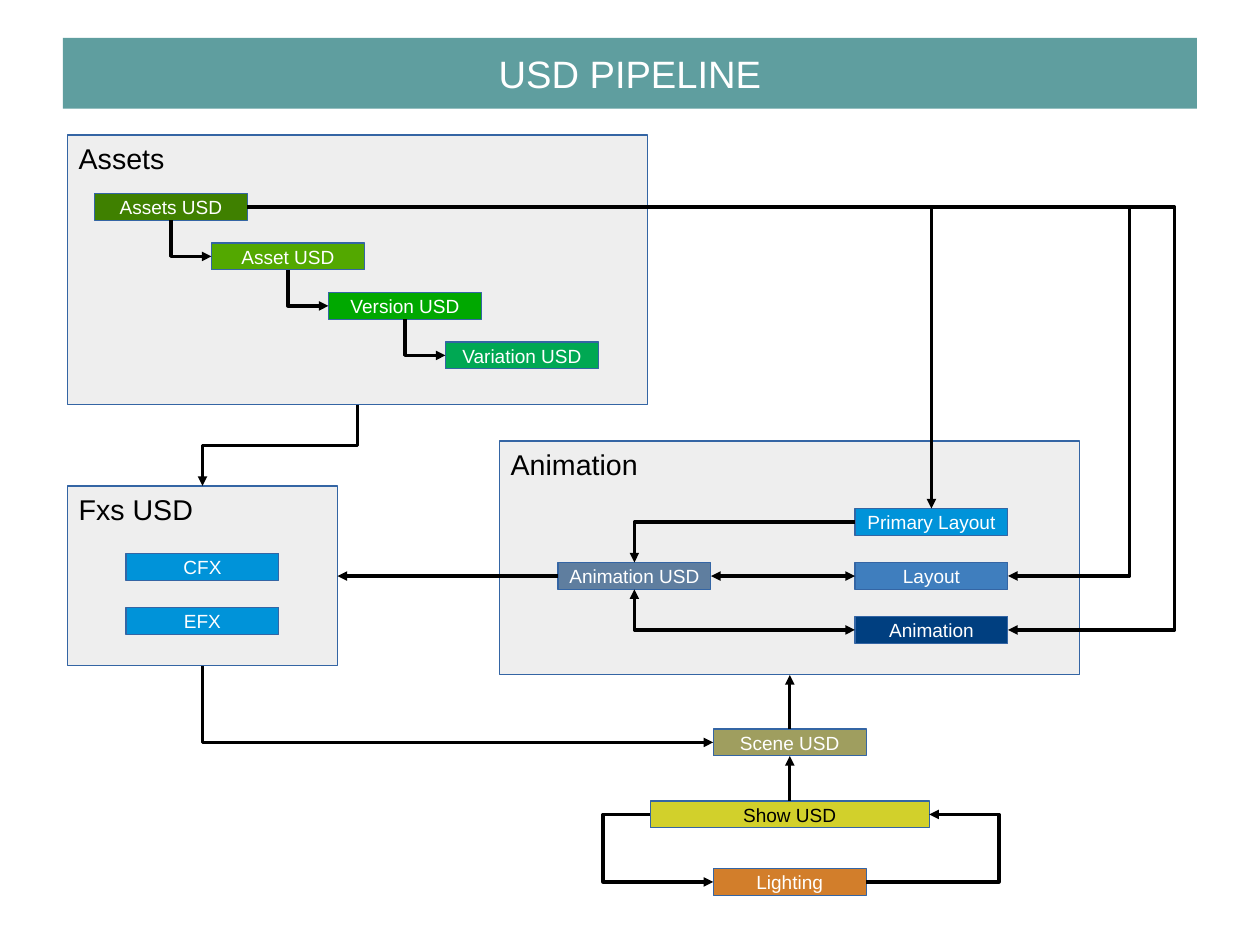
from lxml.etree import SubElement
from pptx import Presentation
from pptx.dml.color import RGBColor
from pptx.enum.shapes import MSO_CONNECTOR, MSO_SHAPE
from pptx.enum.text import MSO_ANCHOR, PP_ALIGN
from pptx.oxml.ns import qn
from pptx.util import Cm, Inches, Pt

WIDTH, HEIGHT = 28, 21
NODE_W, NODE_H = 3.4, 0.6
ROW = 1.2
TOP, LEFT, BOTTOM, RIGHT = range(4)

prs = Presentation()
prs.slide_width, prs.slide_height = Cm(WIDTH), Cm(HEIGHT)
slide = prs.slides.add_slide(prs.slide_layouts[6])


def paint(target, color):
    target.solid()
    target.fore_color.rgb = RGBColor.from_string(color)


def write(shape, text, size=12, color="FFFFFF", align=PP_ALIGN.CENTER,
          anchor=MSO_ANCHOR.MIDDLE, wrap=False, inset=(0.1, 0.05)):
    frame = shape.text_frame
    frame.word_wrap, frame.vertical_anchor = wrap, anchor
    frame.margin_left = frame.margin_right = Inches(inset[0])
    frame.margin_top = frame.margin_bottom = Inches(inset[1])
    paragraph = frame.paragraphs[0]
    paragraph.alignment = align
    run = paragraph.add_run()
    run.text = text
    run.font.name, run.font.size = "Arial", Pt(size)
    paint(run.font.fill, color)


def block(box, fill, border="3465A4"):
    shape = slide.shapes.add_shape(MSO_SHAPE.RECTANGLE, *map(Cm, box))
    shape.shadow.inherit = False
    paint(shape.fill, fill)
    if border:
        paint(shape.line.fill, border)
        shape.line.width = Pt(0)
    else:
        shape.line.fill.background()
    return shape


def node(x, y, text, fill, width=NODE_W, color="FFFFFF"):
    shape = block((x, y, width, NODE_H), fill)
    write(shape, text, color=color)
    return shape


def panel(box, text):
    shape = block(box, "EEEEEE")
    write(shape, text, size=18, color="000000", align=PP_ALIGN.LEFT,
          anchor=MSO_ANCHOR.TOP, wrap=True)
    return shape


def site(shape, side):
    across = {LEFT: 0, RIGHT: 1}.get(side, 0.5)
    down = {TOP: 0, BOTTOM: 1}.get(side, 0.5)
    return (int(shape.left + shape.width * across),
            int(shape.top + shape.height * down))


def arrow(start, start_side, end, end_side, via=None, both=False):
    ends = [(start, start_side), (end, end_side)]
    heads = ["headEnd", "tailEnd"] if both else ["tailEnd"]
    upright = [side in (TOP, BOTTOM) for _, side in ends]
    corner = upright[0] != upright[1]
    if corner and upright[0]:
        ends.reverse()
        heads = ["headEnd", "tailEnd"] if both else ["headEnd"]
    (x1, y1), (x2, y2) = (site(*place) for place in ends)
    straight = min(abs(x1 - x2), abs(y1 - y2)) < Cm(0.02)
    kind = MSO_CONNECTOR.STRAIGHT if straight else MSO_CONNECTOR.ELBOW
    line = slide.shapes.add_connector(kind, x1, y1, x2, y2)
    line.begin_connect(*ends[0])
    line.end_connect(*ends[1])
    props = line._element.spPr
    if corner:
        props.prstGeom.set("prst", "bentConnector2")
    elif all(upright) and not straight:
        mid_x, mid_y = (x1 + x2) // 2, (y1 + y2) // 2
        half_x, half_y = (x1 - x2) // 2, (y1 - y2) // 2
        line.begin_x, line.begin_y = mid_x + half_y, mid_y - half_x
        line.end_x, line.end_y = mid_x - half_y, mid_y + half_x
        props.find(qn("a:xfrm")).set("rot", "5400000")
    if via is not None:
        bend = round((Cm(via) - x1) / (x2 - x1) * 100000)
        guides = props.prstGeom.get_or_add_avLst()
        SubElement(guides, qn("a:gd"), name="adj1", fmla=f"val {bend}")
    paint(line.line.fill, "000000")
    line.line.width = Pt(0)
    for head in heads:
        SubElement(props.find(qn("a:ln")), qn(f"a:{head}"), type="triangle")
    SubElement(props, qn("a:effectLst"))


def title_bar(box):
    bar = block(box, "5F9E9F", border=None)
    write(bar, "USD PIPELINE", size=24, wrap=True, inset=(0, 0))


def assets_region(box):
    x, y = box[:2]
    assets = panel(box, "Assets")
    levels = [("Assets USD", "3F8000"), ("Asset USD", "53A800"),
              ("Version USD", "00A800"), ("Variation USD", "00A853")]
    steps = [node(x + 0.6 + 2.6 * i, y + 1.3 + 1.1 * i, *level)
             for i, level in enumerate(levels)]
    for upper, lower in zip(steps, steps[1:]):
        arrow(upper, BOTTOM, lower, LEFT)
    return assets, steps[0]


def fxs_region(box):
    x, y, width, _ = box
    fxs = panel(box, "Fxs USD")
    for i, effect in enumerate(("CFX", "EFX")):
        node(x + (width - NODE_W) / 2, y + 1.5 + ROW * i, effect, "0093D9")
    return fxs


def animation_region(box):
    x, y = box[:2]
    animation = panel(box, "Animation")
    hub = node(x + 1.3, y + 1.5 + ROW, "Animation USD", "5F7E9F")
    stages = [("Primary Layout", "0093D9"), ("Layout", "3F7EBE"),
              ("Animation", "003F80")]
    primary, layout, animating = [
        node(x + 7.9, y + 1.5 + ROW * i, *stage)
        for i, stage in enumerate(stages)]
    arrow(primary, LEFT, hub, TOP)
    arrow(hub, RIGHT, layout, LEFT, both=True)
    arrow(animating, LEFT, hub, BOTTOM, both=True)
    return animation, hub, primary, layout, animating


def show_region(box):
    x, y, width, height = box
    inner = x + (width - NODE_W) / 2
    scene = node(inner, y, "Scene USD", "9F9E5F")
    show = node(x, y + 1.6, "Show USD", "D2D02B", width, "000000")
    lighting = node(inner, y + height - NODE_H, "Lighting", "D27E2B")
    arrow(show, TOP, scene, BOTTOM)
    arrow(show, LEFT, lighting, LEFT, via=x - 1.05)
    arrow(lighting, RIGHT, show, RIGHT, via=x + width + 1.55)
    return scene


title_bar((0.05 * WIDTH, 0.04 * HEIGHT, 0.9 * WIDTH, 0.075 * HEIGHT))
fxs = fxs_region((1.5, 10.8, 6, 4))
animation, hub, primary, layout, animating = animation_region((11.1, 9.8, 12.9, 5.2))
assets, assets_usd = assets_region((1.5, 3, 12.9, 6))
scene = show_region((14.45, 16.2, 6.2, 3.7))

arrow(assets, BOTTOM, fxs, TOP)
arrow(assets_usd, RIGHT, primary, TOP)
arrow(assets_usd, RIGHT, layout, RIGHT, via=25.1)
arrow(assets_usd, RIGHT, animating, RIGHT, via=26.1)
arrow(hub, LEFT, fxs, RIGHT)
arrow(fxs, BOTTOM, scene, LEFT)
arrow(scene, TOP, animation, BOTTOM)

prs.save("out.pptx")
